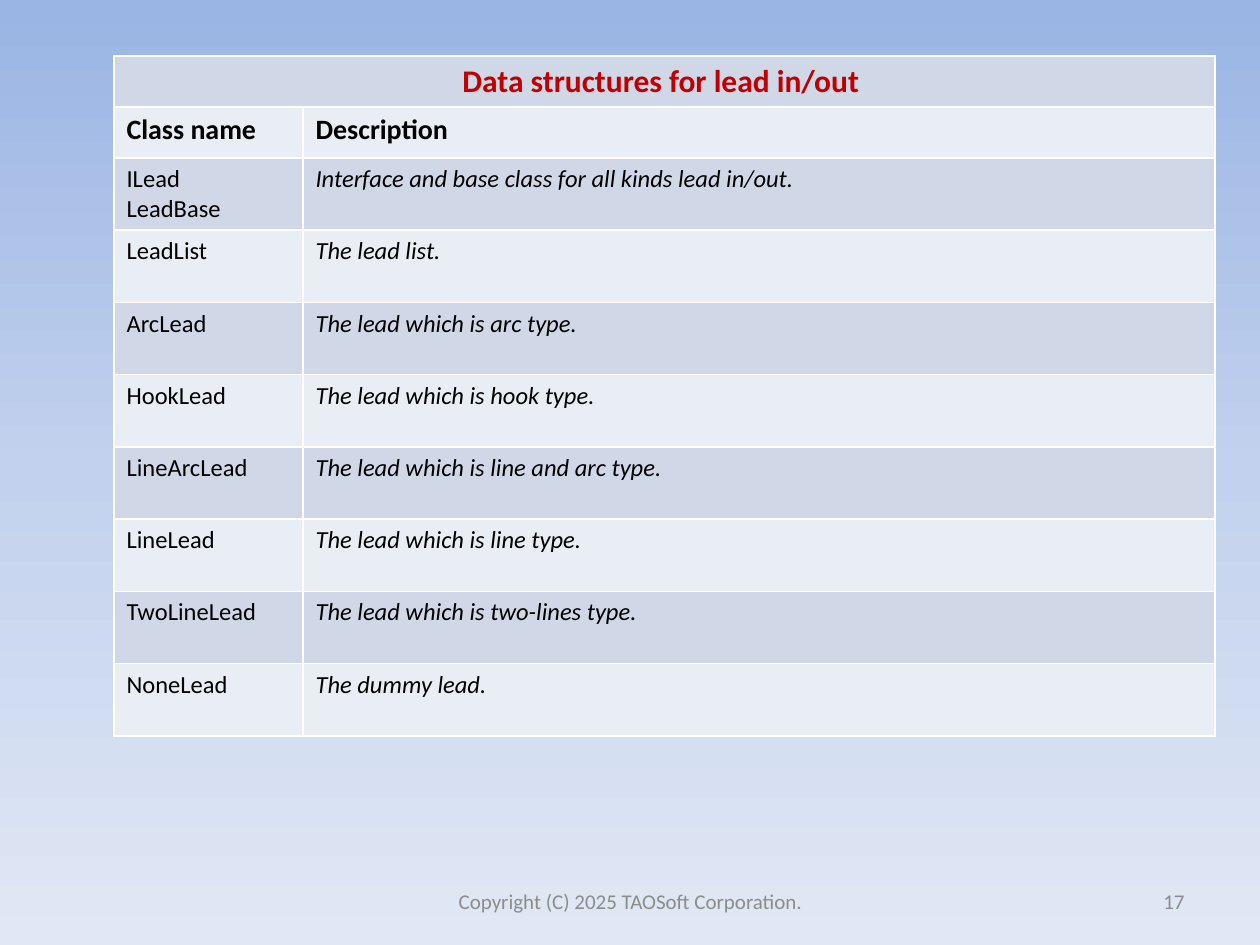
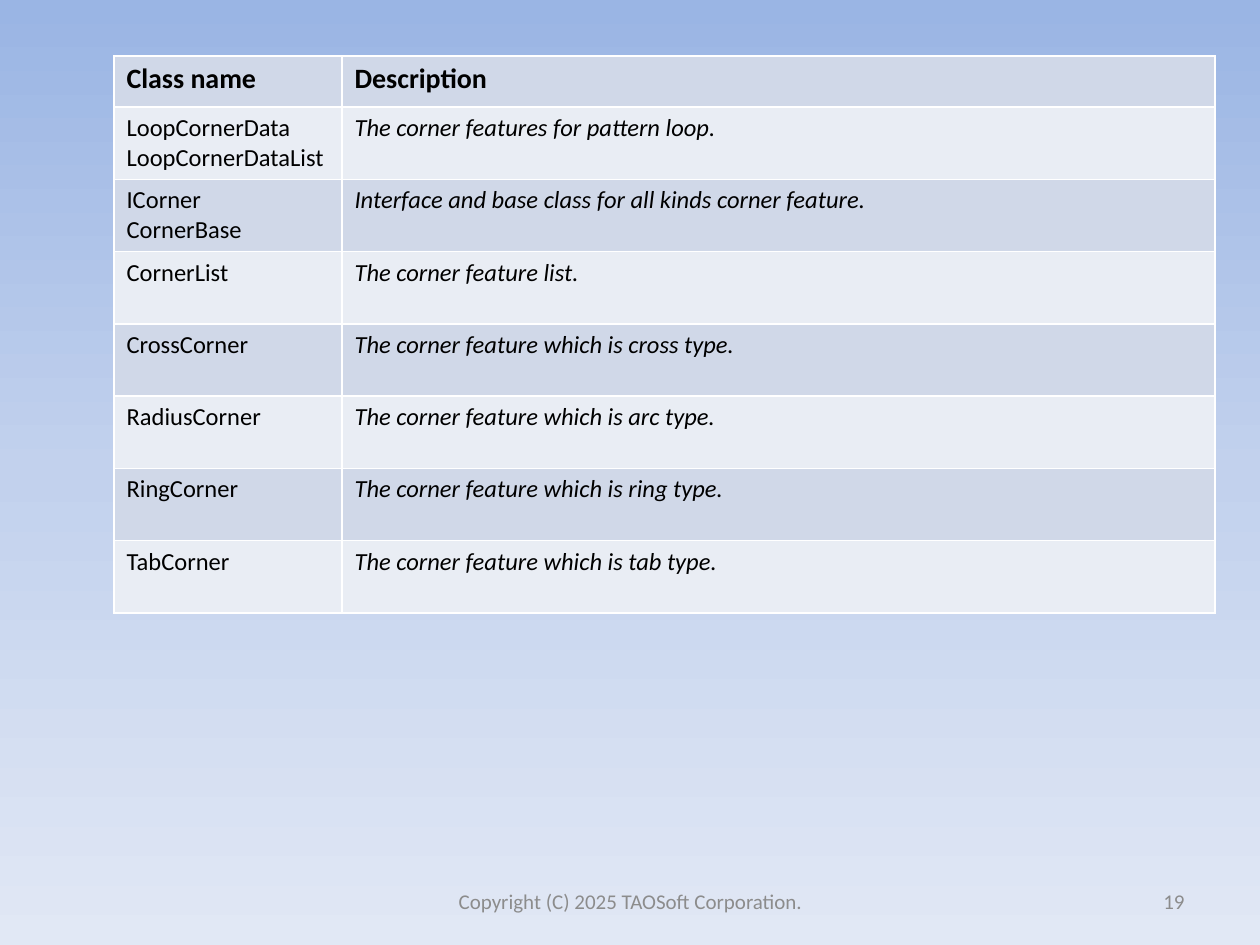
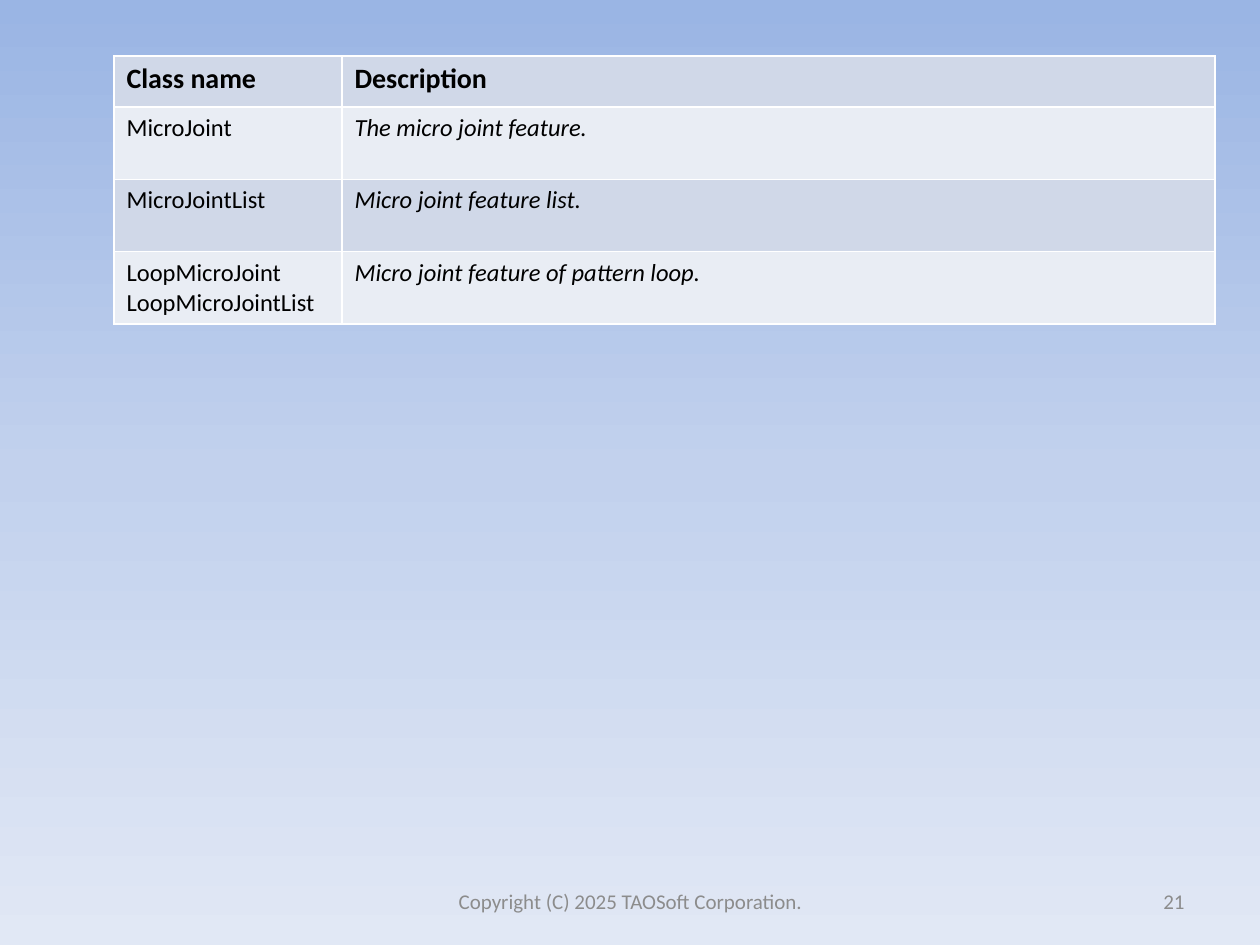
from copy import deepcopy

from lxml.etree import SubElement
from pptx import Presentation
from pptx.dml.color import RGBColor
from pptx.enum.text import MSO_ANCHOR, PP_ALIGN
from pptx.oxml.ns import qn
from pptx.util import Emu, Pt

SLIDE_WIDTH, SLIDE_HEIGHT = 1260, 945
EMU_PER_PX = 914400 / 126
FONT = "Calibri"
BLACK, RED, GRAY, WHITE = "000000", "C00000", "8C8C8C", "FFFFFF"
BANDS = ("D0D8E8", "E9EDF4")
BACKGROUND_STOPS = ((0, "9AB5E4"), (0.5, "C2D1ED"), (1, "E1E8F5"))

TABLE_LEFT, TABLE_TOP, TABLE_WIDTH = 114, 56, 1101
HEADING_HEIGHT = 51
COLUMN_HEADINGS = ("Class name", "Description")
FOOTER_BOX = (431, 876, 399, 50)
NUMBER_BOX = (903, 876, 294, 50)
COPYRIGHT = "Copyright (C) 2025 TAOSoft Corporation."

LEAD_CLASSES = [
    ("ILead\nLeadBase", "Interface and base class for all kinds lead in/out."),
    ("LeadList", "The lead list."),
    ("ArcLead", "The lead which is arc type."),
    ("HookLead", "The lead which is hook type."),
    ("LineArcLead", "The lead which is line and arc type."),
    ("LineLead", "The lead which is line type."),
    ("TwoLineLead", "The lead which is two-lines type."),
    ("NoneLead", "The dummy lead."),
]
CORNER_CLASSES = [
    ("LoopCornerData\nLoopCornerDataList", "The corner features for pattern loop."),
    ("ICorner\nCornerBase", "Interface and base class for all kinds corner feature."),
    ("CornerList", "The corner feature list."),
    ("CrossCorner", "The corner feature which is cross type."),
    ("RadiusCorner", "The corner feature which is arc type."),
    ("RingCorner", "The corner feature which is ring type."),
    ("TabCorner", "The corner feature which is tab type."),
]
JOINT_CLASSES = [
    ("MicroJoint", "The micro joint feature."),
    ("MicroJointList", "Micro joint feature list."),
    ("LoopMicroJoint\nLoopMicroJointList", "Micro joint feature of pattern loop."),
]


def px(length):
    return Emu(round(length * EMU_PER_PX))


def rgb(color):
    return RGBColor.from_string(color)


def write_text(text_frame, text, size, color=BLACK, bold=False, italic=False,
               align=PP_ALIGN.LEFT):
    text_frame.text = text
    for paragraph in text_frame.paragraphs:
        paragraph.alignment = align
        for run in paragraph.runs:
            font = run.font
            font.name, font.size = FONT, Pt(size)
            font.bold, font.italic = bold, italic
            font.color.rgb = rgb(color)


def set_background(master):
    """Give every slide the same vertical gradient."""
    fill = master.background.fill
    fill.gradient()
    fill.gradient_angle = 270
    stop_list = master.element.find(".//" + qn("a:gsLst"))
    stop_list.insert(1, deepcopy(stop_list[0]))
    for stop, (position, color) in zip(fill.gradient_stops, BACKGROUND_STOPS):
        stop.position = position
        stop.color.rgb = rgb(color)


def style_cell(cell, fill_color):
    """Draw white cell borders, then the band colour."""
    properties = cell._tc.get_or_add_tcPr()
    for side in ("a:lnL", "a:lnR", "a:lnT", "a:lnB"):
        line = SubElement(properties, qn(side), w=str(Pt(1)))
        solid = SubElement(line, qn("a:solidFill"))
        SubElement(solid, qn("a:srgbClr"), val=WHITE)
    cell.fill.solid()
    cell.fill.fore_color.rgb = rgb(fill_color)


def add_class_table(slide, box, name_width, classes, title=None):
    left, top, width, height = box
    heading_count = 2 if title else 1
    row_count = heading_count + len(classes)
    table = slide.shapes.add_table(
        row_count, 2, px(left), px(top), px(width), px(height)).table
    table.first_row = table.horz_banding = False

    # Grid: fixed heading rows, the rest shared by the classes
    table.columns[0].width = px(name_width)
    table.columns[1].width = px(width - name_width)
    class_height = (height - heading_count * HEADING_HEIGHT) / len(classes)
    for index, row in enumerate(table.rows):
        row.height = px(HEADING_HEIGHT if index < heading_count else class_height)
        for cell in row.cells:
            style_cell(cell, BANDS[index % 2])

    # Title and column headings
    if title:
        table.cell(0, 0).merge(table.cell(0, 1))
        write_text(table.cell(0, 0).text_frame, title, 18, RED, bold=True,
                   align=PP_ALIGN.CENTER)
    for column, heading in enumerate(COLUMN_HEADINGS):
        write_text(table.cell(heading_count - 1, column).text_frame, heading, 16,
                   bold=True)

    # Classes
    for row, (name, description) in enumerate(classes, heading_count):
        write_text(table.cell(row, 0).text_frame, name, 14)
        write_text(table.cell(row, 1).text_frame, description, 14, italic=True)


def add_footer_text(slide, box, text, align):
    text_frame = slide.shapes.add_textbox(*map(px, box)).text_frame
    text_frame.word_wrap = True
    text_frame.vertical_anchor = MSO_ANCHOR.MIDDLE
    write_text(text_frame, text, 12, GRAY, align=align)


def add_class_slide(presentation, number, table_height, name_width, classes,
                    title=None):
    slide = presentation.slides.add_slide(presentation.slide_layouts[6])
    add_footer_text(slide, FOOTER_BOX, COPYRIGHT, PP_ALIGN.CENTER)
    add_footer_text(slide, NUMBER_BOX, str(number), PP_ALIGN.RIGHT)
    box = (TABLE_LEFT, TABLE_TOP, TABLE_WIDTH, table_height)
    add_class_table(slide, box, name_width, classes, title)


def main():
    presentation = Presentation()
    presentation.slide_width = px(SLIDE_WIDTH)
    presentation.slide_height = px(SLIDE_HEIGHT)
    set_background(presentation.slide_master)
    add_class_slide(presentation, 17, 680, 189, LEAD_CLASSES,
                    "Data structures for lead in/out ")
    add_class_slide(presentation, 19, 557, 228, CORNER_CLASSES)
    add_class_slide(presentation, 21, 268, 228, JOINT_CLASSES)
    presentation.save("out.pptx")


if __name__ == "__main__":
    main()
